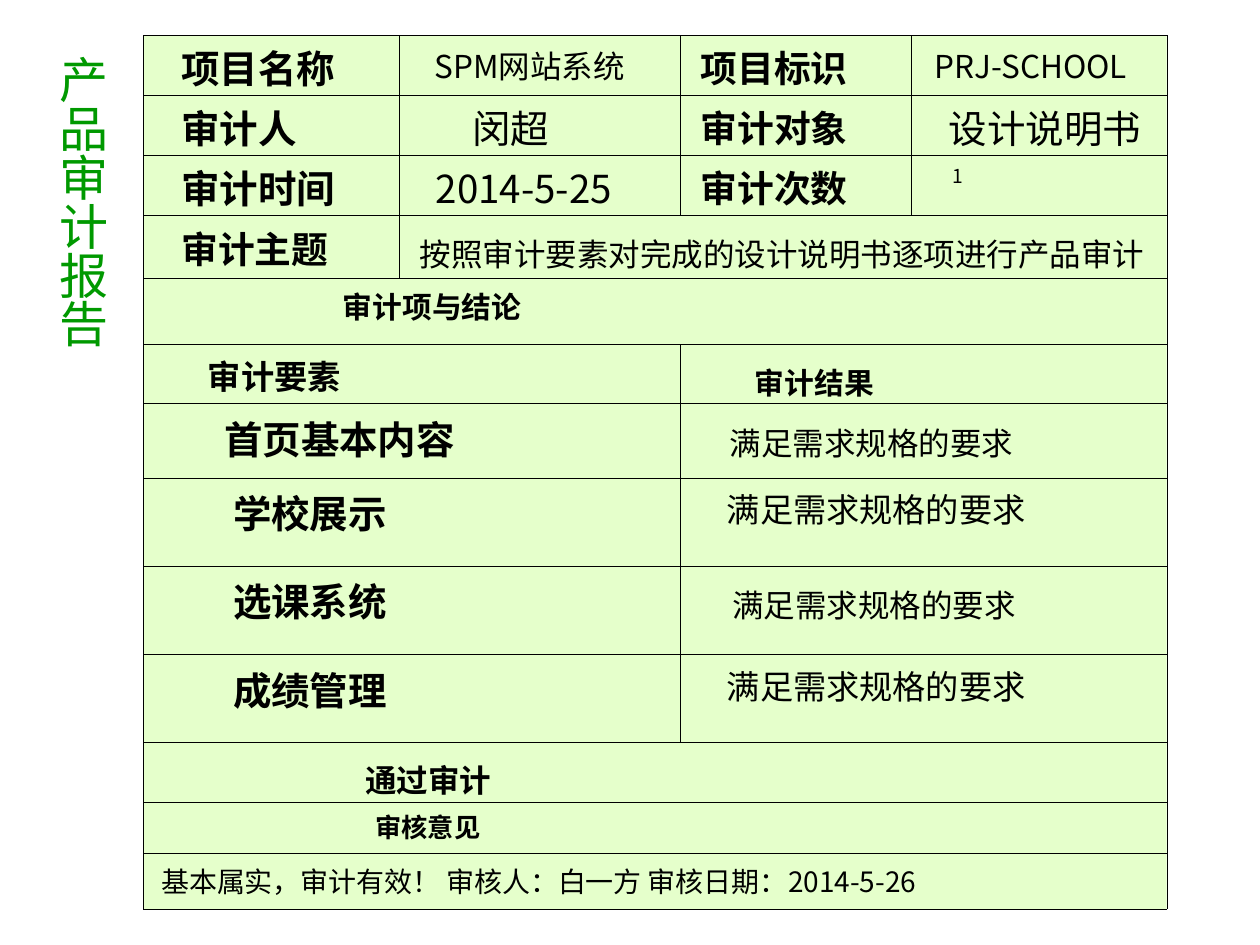
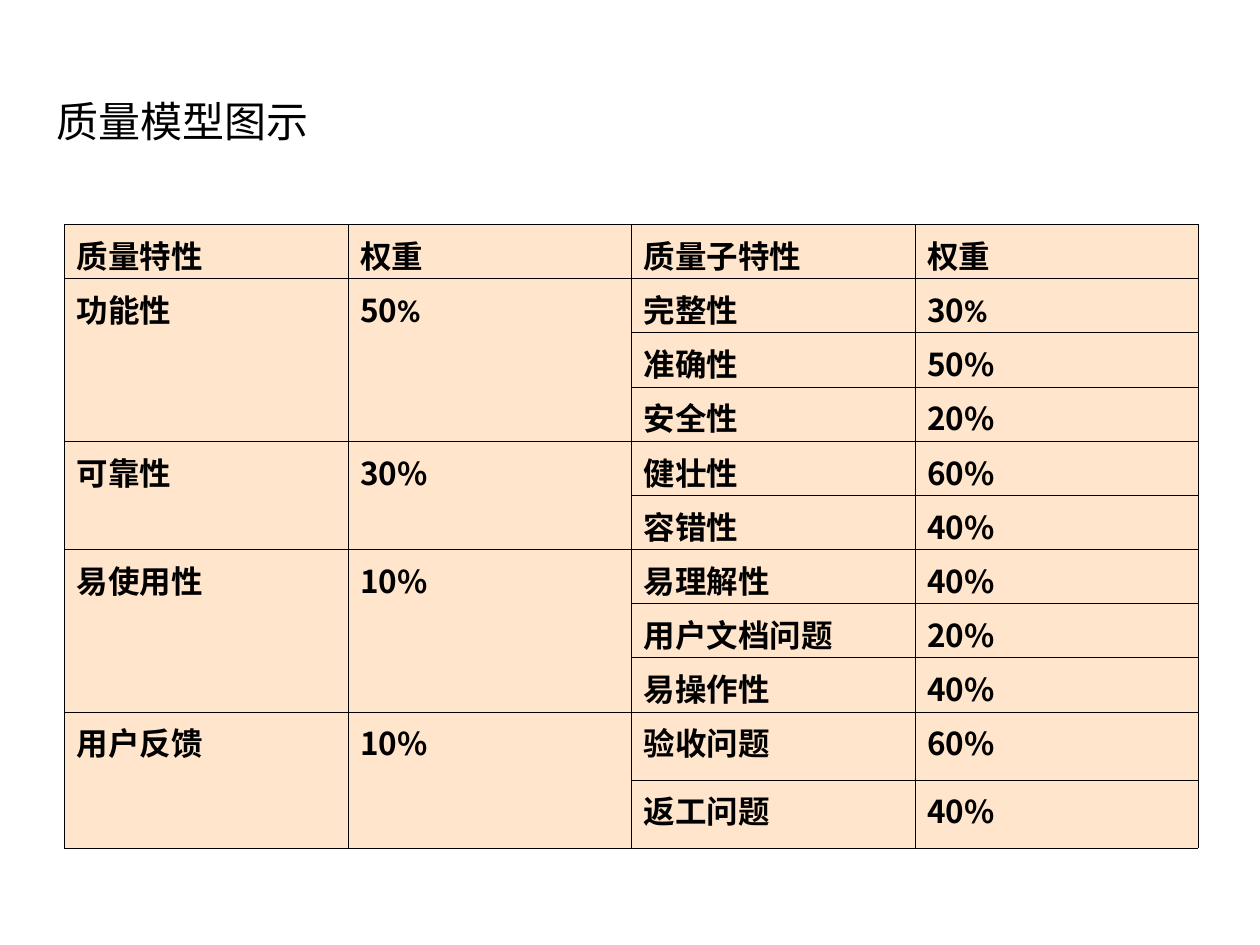
from pptx import Presentation
from pptx.dml.color import RGBColor
from pptx.enum.text import PP_ALIGN
from pptx.oxml import parse_xml
from pptx.oxml.ns import nsdecls, qn
from pptx.util import Inches, Pt

CENTER = PP_ALIGN.CENTER
CJK = "Noto Sans CJK SC"
BLACK, GREEN = "000000", "009900"
LIME, PEACH = "CCFF99", "FFCC99"
BORDER = 0.23
TOP, LOW, TIGHT = 0.05, 0.12, 0.03  # space above the text in a cell

# Audit report: (column, columns spanned, text, size, bold, indent, space above)
RESULT = "满足需求规格的要求"
AUDIT_COLS = [2.03, 2.23, 1.83, 2.03]
AUDIT_ROWS = [
    (0.47, [(0, 1, "项目名称", 22, True, 0.3, TIGHT),
            (1, 1, "SPM网站系统", 18, False, 0.28, TOP),
            (2, 1, "项目标识", 21, True, 0.16, 0.04),
            (3, 1, "PRJ-SCHOOL", 18, False, 0.19, TOP)]),
    (0.48, [(0, 1, "审计人", 22, True, 0.3, TIGHT),
            (1, 1, "闵超", 22, False, 0.58, TIGHT),
            (2, 1, "审计对象", 21, True, 0.16, 0.04),
            (3, 1, "设计说明书", 22, False, 0.3, TIGHT)]),
    (0.47, [(0, 1, "审计时间", 22, True, 0.3, TIGHT),
            (1, 1, "2014-5-25", 22, False, 0.29, TIGHT),
            (2, 1, "审计次数", 21, True, 0.16, 0.04),
            (3, 1, "1", 11, False, 0.33, TOP)]),
    (0.5, [(0, 1, "审计主题", 21, True, 0.3, TOP),
           (1, 3, "按照审计要素对完成的设计说明书逐项进行产品审计", 18, False, 0.16, LOW)]),
    (0.53, [(0, 4, "审计项与结论", 17, True, 1.58, TOP)]),
    (0.47, [(0, 2, "审计要素", 19, True, 0.51, TOP),
            (2, 2, "审计结果", 17, True, 0.59, LOW)]),
    (0.59, [(0, 2, "首页基本内容", 22, True, 0.64, TOP),
            (2, 2, RESULT, 18, False, 0.39, LOW)]),
    (0.7, [(0, 2, "学校展示", 22, True, 0.71, TOP),
           (2, 2, RESULT, 19, False, 0.37, TOP)]),
    (0.7, [(0, 2, "选课系统", 22, True, 0.71, TOP),
           (2, 2, RESULT, 18, False, 0.41, LOW)]),
    (0.7, [(0, 2, "成绩管理", 22, True, 0.71, TOP),
           (2, 2, RESULT, 19, False, 0.37, TOP)]),
    (0.47, [(0, 4, "通过审计", 18, True, 1.76, 0.11)]),
    (0.41, [(0, 4, "审核意见", 15, True, 1.84, 0.04)]),
    (0.44, [(0, 4, "基本属实，审计有效！ 审核人：白一方 审核日期：2014-5-26",
             16, False, 0.14, TOP)]),
]

# Quality model: characteristic, weight, [(sub-characteristic, weight)]
QUALITY_HEAD = ["质量特性", "权重", "质量子特性", "权重"]
QUALITY = [
    ("功能性", "50%", [("完整性", "30%"), ("准确性", "50%"), ("安全性", "20%")]),
    ("可靠性", "30%", [("健壮性", "60%"), ("容错性", "40%")]),
    ("易使用性", "10%", [("易理解性", "40%"), ("用户文档问题", "20%"),
                     ("易操作性", "40%")]),
    ("用户反馈", "10%", [("验收问题", "60%"), ("返工问题", "40%")]),
]
QUALITY_HEIGHTS = [0.43] * 9 + [0.54] * 2
CALIBRI_PERCENT = {(1, 1), (1, 3)}  # cells whose percent sign is in Calibri


def rgb(value):
    return RGBColor.from_string(value)


def style_run(r, size, bold=False, color=BLACK, font=CJK):
    r.font.size, r.font.bold, r.font.name = Pt(size), bold, font
    r.font.color.rgb = rgb(color)
    r.font.fill._xPr.find(qn("a:solidFill")).addnext(
        parse_xml(f'<a:effectLst {nsdecls("a")}/>'))
    r.font._element.find(qn("a:latin")).addnext(
        parse_xml(f'<a:ea {nsdecls("a")} typeface="{font}"/>'))


def add_grid(slide, left, top, cols, rows, fill):
    """Table with thin black rules and a half transparent fill."""
    table = slide.shapes.add_table(
        len(rows), len(cols), Inches(left), Inches(top),
        Inches(sum(cols)), Inches(sum(rows))).table
    for column, width in zip(table.columns, cols):
        column.width = Inches(width)
    for row, height in zip(table.rows, rows):
        row.height = Inches(height)
    for cell in table.iter_cells():
        cell.margin_left = cell.margin_right = 0
        cell.margin_top = cell.margin_bottom = 0
        cell.fill.solid()
        cell.fill.fore_color.rgb = rgb(fill)
        tc_pr = cell._tc.tcPr
        tc_pr.find(".//" + qn("a:srgbClr")).append(
            parse_xml(f'<a:alpha {nsdecls("a")} val="50000"/>'))
        for i, side in enumerate(("lnL", "lnR", "lnT", "lnB")):
            tc_pr.insert(i, parse_xml(
                f'<a:{side} {nsdecls("a")} w="{Pt(BORDER)}"><a:solidFill>'
                f'<a:srgbClr val="{BLACK}"/></a:solidFill></a:{side}>'))
    return table


def fill_cell(cell, text, size, bold, indent, above):
    cell.margin_left, cell.margin_top = Inches(indent), Inches(above)
    cell.text_frame.text = text
    style_run(cell.text_frame.paragraphs[0].runs[0], size, bold)


def add_title(slide, box, text, size, color, font):
    sp = slide.shapes.add_textbox(*map(Inches, box))
    tf = sp.text_frame
    tf.word_wrap = True
    tf.margin_top = tf.margin_bottom = 0
    tf.text = text
    style_run(tf.paragraphs[0].runs[0], size, color=color, font=font)
    return tf


def build_audit(slide):
    table = add_grid(slide, 1.14, 0.28, AUDIT_COLS,
                     [height for height, _ in AUDIT_ROWS], LIME)
    for i, (_, cells) in enumerate(AUDIT_ROWS):
        for col, span, *content in cells:
            cell = table.cell(i, col)
            if span > 1:
                cell.merge(table.cell(i, col + span - 1))
            fill_cell(cell, *content)

    # Vertical title beside the table
    tf = add_title(slide, (0.28, 0.44, 0.66, 3.7), "产品审计报告", 28, GREEN, "Arial")
    tf.margin_left = tf.margin_right = Inches(0.05)
    tf.paragraphs[0].alignment = CENTER
    tf._txBody.bodyPr.set("vert", "eaVert")


def build_quality(slide):
    table = add_grid(slide, 0.51, 1.78, [2.25] * 4, QUALITY_HEIGHTS, PEACH)

    def put(row, col, text):
        cell = table.cell(row, col)
        split = (row, col) in CALIBRI_PERCENT
        fill_cell(cell, text.rstrip("%") if split else text, 18, True, 0.1, 0.06)
        if split:
            r = cell.text_frame.paragraphs[0].add_run()
            r.text = "%"
            style_run(r, 18, True, font="Calibri")

    for col, text in enumerate(QUALITY_HEAD):
        put(0, col, text)
    row = 1
    for name, weight, parts in QUALITY:
        for col, text in enumerate((name, weight)):
            table.cell(row, col).merge(table.cell(row + len(parts) - 1, col))
            put(row, col, text)
        for part in parts:
            for col, text in enumerate(part, 2):
                put(row, col, text)
            row += 1

    add_title(slide, (0.35, 0.76, 2.91, 0.5), "质量模型图示", 24, BLACK, CJK)


def main():
    prs = Presentation()
    prs.slide_width, prs.slide_height = Inches(10), Inches(7.5)
    for build in (build_audit, build_quality):
        build(prs.slides.add_slide(prs.slide_layouts[6]))
    prs.save("out.pptx")


if __name__ == "__main__":
    main()
